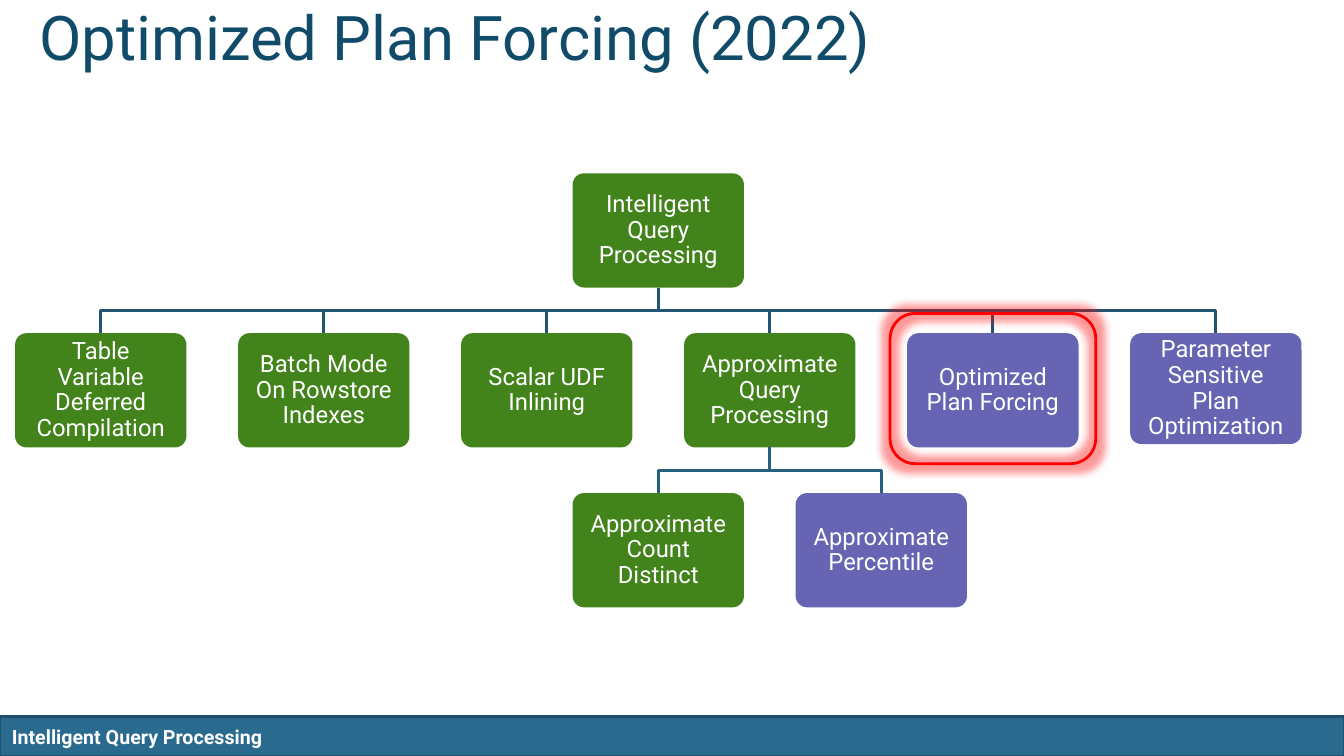
from dataclasses import dataclass

from lxml import etree
from pptx import Presentation
from pptx import util as u
from pptx.dml.color import RGBColor
from pptx.enum import shapes, text
from pptx.oxml import ns

Pt = u.Pt
GREEN = RGBColor(0x42, 0x83, 0x1B)
PURPLE = RGBColor(0x66, 0x64, 0xB3)
NAVY = RGBColor(0x10, 0x4C, 0x6A)
LINE = RGBColor(0x21, 0x55, 0x72)
LINK = RGBColor(0x25, 0x60, 0x81)
BAR = RGBColor(0x29, 0x6A, 0x8E)
EDGE = RGBColor(0x1E, 0x4E, 0x69)
RED = RGBColor(0xFF, 0, 0)
WHITE = RGBColor(0xFF, 0xFF, 0xFF)

# Tree grid, in points
BOX_W, BOX_H = 122.4, 81.6
MID_X, STEP_X = 72, 159.3
TOP_Y, STEP_Y = 123.8, 114.2


@dataclass
class Node:
    label: str
    col: float
    row: int
    fill: RGBColor = GREEN
    up: "Node | None" = None
    high: float = BOX_H

    @property
    def mid(self) -> float:
        return MID_X + self.col * STEP_X

    @property
    def top(self) -> float:
        return TOP_Y + self.row * STEP_Y


def style(para, size: float, color: RGBColor, bold: bool = False) -> None:
    for run in para.runs:
        font = run.font
        font.name, font.size, font.bold = "Roboto", Pt(size), bold
        font.color.rgb = color


def add_link(slide, node: Node) -> None:
    start = node.up.top + BOX_H
    bend = (start + node.top) / 2
    path = slide.shapes.build_freeform(Pt(node.up.mid), Pt(start))
    path.add_line_segments(
        [(Pt(node.up.mid), Pt(bend)), (Pt(node.mid), Pt(bend)),
         (Pt(node.mid), Pt(node.top))], close=False)
    link = path.convert_to_shape()
    link.shadow.inherit = False
    link.fill.background()
    link.line.color.rgb = LINE if node.row == 1 else LINK
    link.line.width = Pt(2)


def add_box(slide, node: Node) -> None:
    box = slide.shapes.add_shape(
        shapes.MSO_SHAPE.ROUNDED_RECTANGLE, Pt(node.mid - BOX_W / 2),
        Pt(node.top), Pt(BOX_W), Pt(node.high))
    box.adjustments[0] = 0.1
    box.shadow.inherit = False
    box.fill.solid()
    box.fill.fore_color.rgb = node.fill
    box.line.fill.background()
    frame = box.text_frame
    frame.text = node.label
    frame.word_wrap = True
    frame.vertical_anchor = text.MSO_ANCHOR.MIDDLE
    frame.margin_left = frame.margin_right = Pt(7)
    frame.margin_top = frame.margin_bottom = Pt(7)
    para = frame.paragraphs[0]
    para.alignment = text.PP_ALIGN.CENTER
    para.line_spacing = 0.9
    style(para, 17, WHITE)


def add_glow(shape, color: RGBColor, size: float) -> None:
    effects = shape._element.spPr.find(ns.qn("a:effectLst"))
    glow = etree.SubElement(effects, ns.qn("a:glow"), rad=str(Pt(size)))
    tint = etree.SubElement(glow, ns.qn("a:srgbClr"), val=str(color))
    etree.SubElement(tint, ns.qn("a:alpha"), val="40000")


def add_title(slide) -> None:
    title = slide.shapes.title
    title.left, title.top = Pt(20.9), Pt(13.7)
    title.width, title.height = Pt(908.6), Pt(90)
    frame = title.text_frame
    frame.text = "Optimized Plan Forcing (2022)"
    frame.vertical_anchor = text.MSO_ANCHOR.TOP
    para = frame.paragraphs[0]
    para.alignment = text.PP_ALIGN.LEFT
    para.line_spacing = Pt(35)
    style(para, 44, NAVY)


def add_footer(slide) -> None:
    bar = slide.shapes.add_shape(
        shapes.MSO_SHAPE.RECTANGLE, 0, Pt(512), Pt(960), Pt(28))
    bar.shadow.inherit = False
    bar.fill.solid()
    bar.fill.fore_color.rgb = BAR
    bar.line.color.rgb = EDGE
    bar.line.width = Pt(2)
    note = slide.shapes.add_textbox(Pt(1.4), Pt(514), Pt(436), Pt(24.5))
    note.text_frame.word_wrap = True
    note.text_frame.text = "Intelligent Query Processing"
    style(note.text_frame.paragraphs[0], 14, WHITE, bold=True)


def add_ring(slide) -> None:
    ring = slide.shapes.add_shape(
        shapes.MSO_SHAPE.ROUNDED_RECTANGLE, Pt(635.8), Pt(223.9),
        Pt(146.9), Pt(107.3))
    ring.shadow.inherit = False
    ring.fill.background()
    ring.line.color.rgb = RED
    ring.line.width = Pt(2)
    add_glow(ring, RED, 11)


def main() -> None:
    deck = Presentation()
    deck.slide_width, deck.slide_height = Pt(960), Pt(540)
    slide = deck.slides.add_slide(deck.slide_layouts[5])

    add_footer(slide)
    add_title(slide)

    # Feature tree
    root = Node("Intelligent Query Processing", 2.5, 0)
    approx = Node("Approximate Query Processing", 3, 1, up=root)
    nodes = [
        root,
        Node("Table Variable Deferred Compilation", 0, 1, up=root),
        Node("Batch Mode On Rowstore Indexes", 1, 1, up=root),
        Node("Scalar UDF Inlining", 2, 1, up=root),
        approx,
        Node("Approximate Count Distinct", 2.5, 2, up=approx),
        Node("Approximate Percentile", 3.5, 2, PURPLE, approx),
        Node("Optimized Plan Forcing", 4, 1, PURPLE, root),
        Node("Parameter Sensitive Plan Optimization", 5, 1, PURPLE, root, 79.2),
    ]
    for node in nodes:
        if node.up:
            add_link(slide, node)
        add_box(slide, node)

    # Highlight of the current topic
    add_ring(slide)
    deck.save("out.pptx")


if __name__ == "__main__":
    main()
